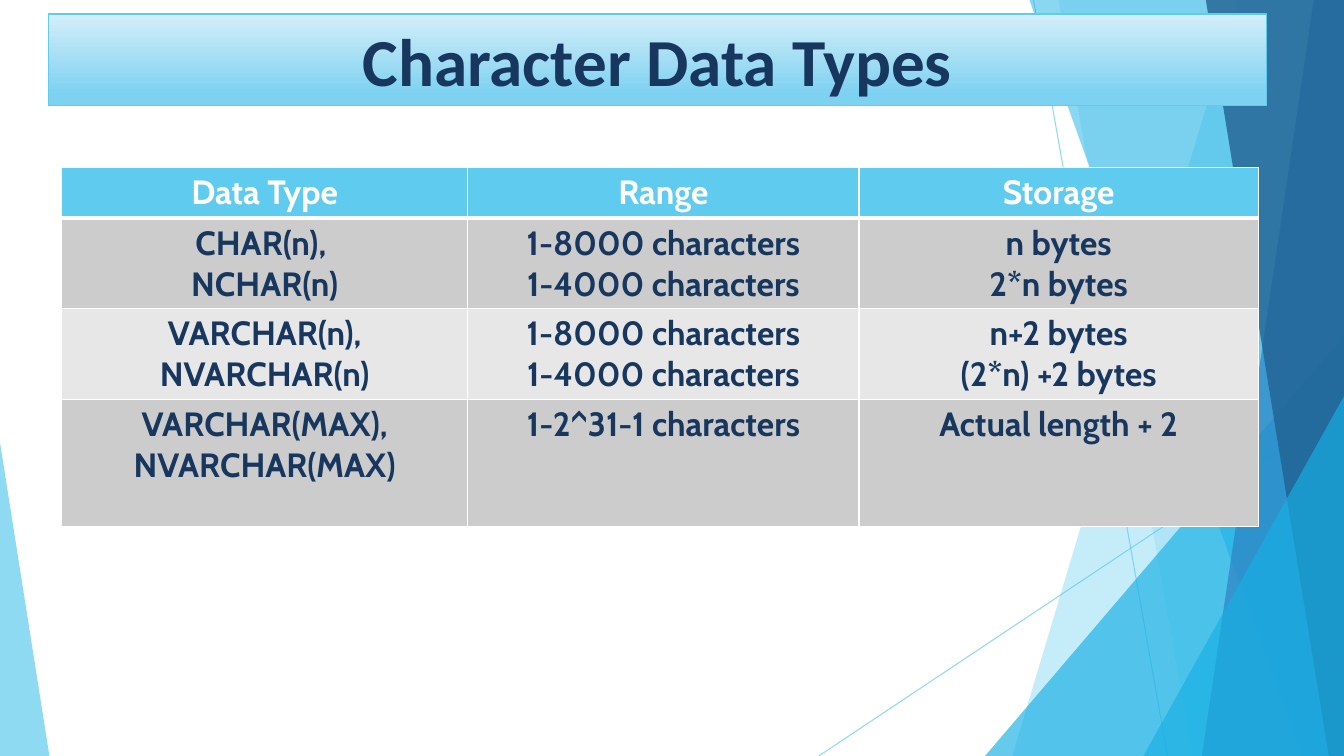
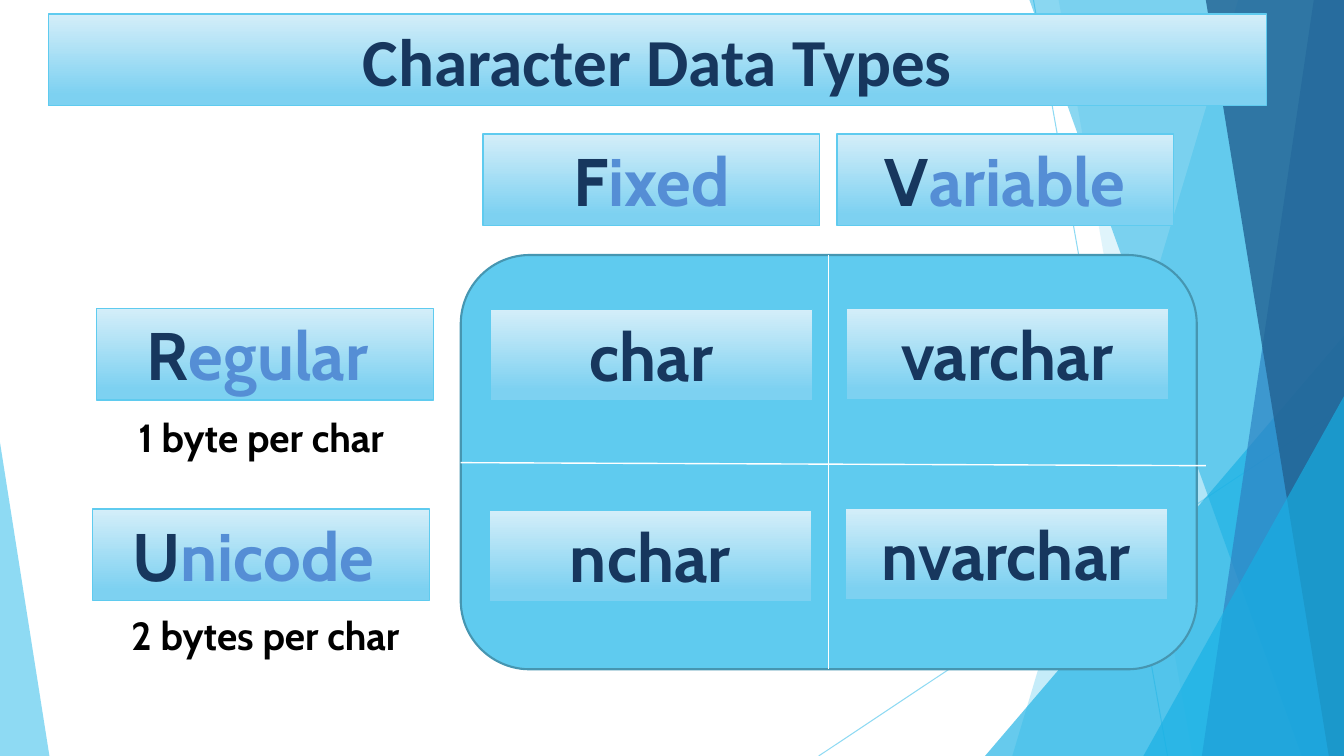
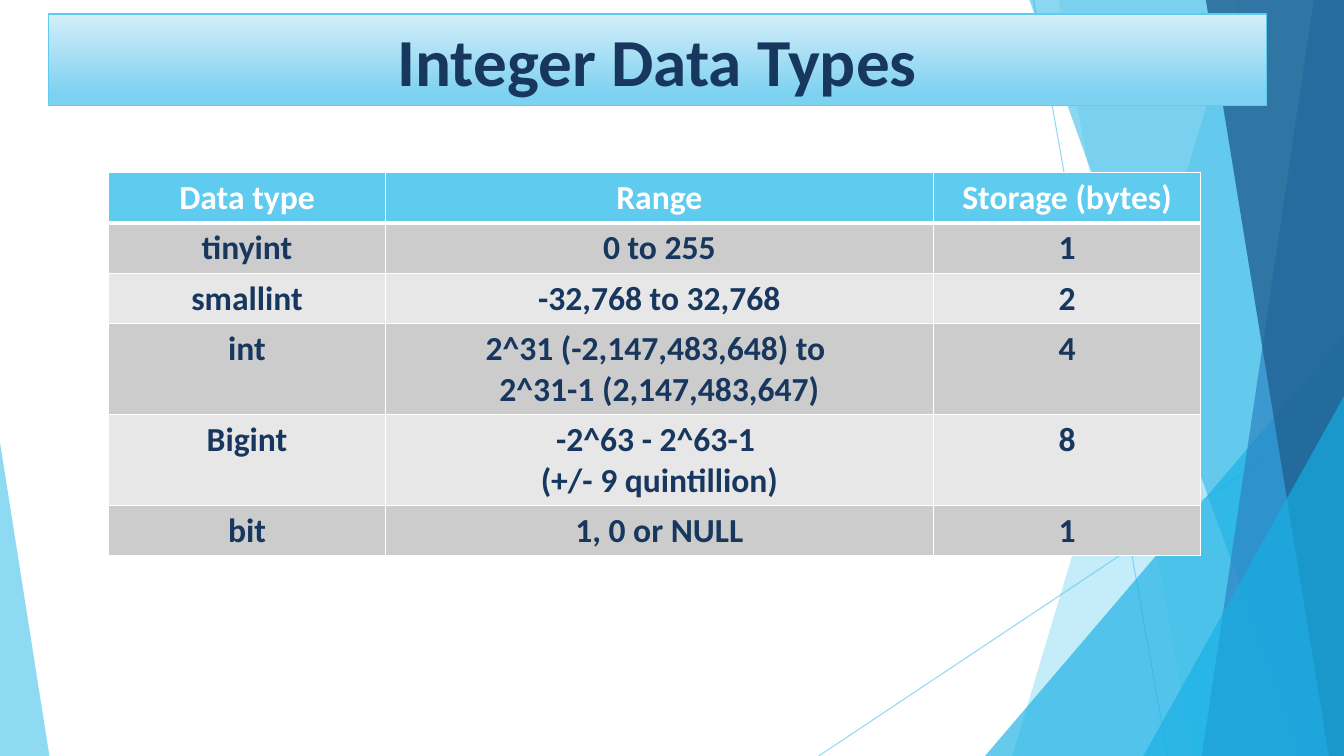
"""Builds three slides on SQL character and integer data types."""
import lxml.etree
import pptx
import pptx.dml.color
import pptx.enum.dml
import pptx.enum.shapes
import pptx.enum.text
import pptx.oxml.ns
import pptx.util

RGBColor = pptx.dml.color.RGBColor
SHAPES = pptx.enum.shapes.MSO_SHAPE
ANCHOR = pptx.enum.text.MSO_ANCHOR

PIXEL = 9144
SLIDE_WIDTH, SLIDE_HEIGHT = 1333, 750

SKY = RGBColor(0x5F, 0xCB, 0xEF)
CYAN = RGBColor(0x17, 0xB0, 0xE4)
BLUE = RGBColor(0x2E, 0x83, 0xC3)
DEEP_BLUE = RGBColor(0x22, 0x62, 0x92)
PANEL_EDGE = RGBColor(0x46, 0x96, 0xB1)
GRADIENT_TOP = RGBColor(0xD4, 0xEE, 0xF9)
GRADIENT_BOTTOM = RGBColor(0x7D, 0xD1, 0xF1)
NAVY = RGBColor(0x17, 0x37, 0x5E)
SOFT_BLUE = RGBColor(0x55, 0x8E, 0xD5)
WHITE = RGBColor(0xFF, 0xFF, 0xFF)
BLACK = RGBColor(0, 0, 0)
ROW_FILLS = (RGBColor(0xCC, 0xCC, 0xCC), RGBColor(0xE7, 0xE7, 0xE7))

CHARACTER_ROWS = [
    ["Data Type", "Range", "Storage"],
    ["CHAR(n), \nNCHAR(n)", ("1-8000 characters", "1-4000 characters"),
     ("n bytes", "2*n bytes")],
    ["VARCHAR(n), NVARCHAR(n)", ("1-8000 characters", "1-4000 characters"),
     ("n+2 bytes", "(2*n) +2 bytes")],
    ["VARCHAR(MAX),\nNVARCHAR(MAX)", "1-2^31-1 characters", "Actual length + 2"],
]
INTEGER_ROWS = [
    ["Data type", "Range", "Storage (bytes)"],
    ["tinyint", "0 to 255", "1"],
    ["smallint", "-32,768 to 32,768", "2"],
    ["int", "2^31 (-2,147,483,648) to \n2^31-1 (2,147,483,647)", "4"],
    ["Bigint", "-2^63 - 2^63-1 \n(+/- 9 quintillion)", "8"],
    ["bit", "1, 0 or NULL", "1"],
]


def px(*lengths):
    """Turn pixel lengths into a list of EMU lengths."""
    return [pptx.util.Emu(length * PIXEL) for length in lengths]


def set_alpha(shape, percent):
    """Make the first solid colour of a shape or connector translucent."""
    colour = next(shape._element.spPr.iter(pptx.oxml.ns.qn("a:srgbClr")))
    alpha = lxml.etree.SubElement(colour, pptx.oxml.ns.qn("a:alpha"))
    alpha.set("val", str(percent * 1000))


def add_run(paragraph, text, font_name, size, colour):
    """Append one bold run."""
    run = paragraph.add_run()
    run.text = text
    run.font.name = font_name
    run.font.size = pptx.util.Pt(size)
    run.font.bold = True
    run.font.color.rgb = colour


def write_centred(shape, runs, font_name, size, anchor=ANCHOR.TOP):
    """Write one centred paragraph of (text, colour) runs into a shape."""
    frame = shape.text_frame
    frame.word_wrap = True
    frame.auto_size = pptx.enum.text.MSO_AUTO_SIZE.SHAPE_TO_FIT_TEXT
    frame.vertical_anchor = anchor
    paragraph = frame.paragraphs[0]
    paragraph.alignment = pptx.enum.text.PP_ALIGN.CENTER
    for text, colour in runs:
        add_run(paragraph, text, font_name, size, colour)


def add_line(slide, start, end, colour, width):
    """Draw a straight line without a shadow."""
    straight = pptx.enum.shapes.MSO_CONNECTOR.STRAIGHT
    line = slide.shapes.add_connector(straight, *px(*start, *end))
    line.line.color.rgb = colour
    line.line.width = pptx.util.Pt(width)
    lxml.etree.SubElement(line._element.spPr, pptx.oxml.ns.qn("a:effectLst"))
    return line


def paint_facet(shape, colour, alpha):
    """Give a backdrop facet its translucent fill."""
    shape.shadow.inherit = False
    shape.fill.solid()
    shape.fill.fore_color.rgb = colour
    shape.line.fill.background()
    set_alpha(shape, alpha)


def add_facet_band(slide, top_x, bottom_x, colour, alpha):
    """Fill from a slanted edge to the right side of the slide."""
    builder = slide.shapes.build_freeform(top_x, 0, scale=PIXEL)
    builder.add_line_segments([(SLIDE_WIDTH, 0), (SLIDE_WIDTH, SLIDE_HEIGHT),
                               (bottom_x, SLIDE_HEIGHT)], close=True)
    paint_facet(builder.convert_to_shape(), colour, alpha)


def add_facet_triangle(slide, left, top, width, apex, colour, alpha):
    """Stand a right-angled triangle on the bottom edge of the slide."""
    box = px(left, top, width, SLIDE_HEIGHT - top)
    triangle = slide.shapes.add_shape(SHAPES.ISOSCELES_TRIANGLE, *box)
    triangle.adjustments[0] = apex
    paint_facet(triangle, colour, alpha)


def add_backdrop(slide):
    """Draw the faceted decoration shared by all slides."""
    for start, end in (((1025, 0), (1158, SLIDE_HEIGHT)),
                       ((SLIDE_WIDTH, 403), (812, SLIDE_HEIGHT))):
        set_alpha(add_line(slide, start, end, SKY, 0.75), 70)
    add_facet_band(slide, 1228, 1004, SKY, 36)
    add_facet_band(slide, 1050, 1183, SKY, 20)
    add_facet_triangle(slide, 977, 333, 356, 1, CYAN, 66)
    add_facet_band(slide, 1021, 1291, CYAN, 50)
    add_facet_band(slide, 1303, 1192, BLUE, 70)
    add_facet_band(slide, 1196, 1318, DEEP_BLUE, 80)
    add_facet_triangle(slide, 1134, 393, 199, 1, CYAN, 66)
    add_facet_triangle(slide, 0, 439, 49, 0, SKY, 70)


def add_gradient_box(slide, left, top, width, height=91):
    """Add a rectangle with the pale blue gradient and sky outline."""
    box = slide.shapes.add_shape(SHAPES.RECTANGLE, *px(left, top, width, height))
    box.shadow.inherit = False
    box.fill.gradient()
    box.fill.gradient_angle = 270
    stops = ((0, GRADIENT_TOP), (0.88, GRADIENT_BOTTOM))
    for stop, (position, colour) in zip(box.fill.gradient_stops, stops):
        stop.position = position
        stop.color.rgb = colour
    box.line.color.rgb = SKY
    box.line.width = pptx.util.Pt(1)
    return box


def add_titled_slide(presentation, title):
    """Add a blank slide with the backdrop and the title band."""
    slide = presentation.slides.add_slide(presentation.slide_layouts[6])
    add_backdrop(slide)
    band = add_gradient_box(slide, 48, 14, 1208)
    write_centred(band, [(title, NAVY)], "Calibri", 48, ANCHOR.MIDDLE)
    return slide


def set_cell_borders(cell, bottom_width):
    """Draw white borders round a table cell."""
    properties = cell._tc.get_or_add_tcPr()
    sides = (("a:lnL", 1), ("a:lnR", 1), ("a:lnT", 1), ("a:lnB", bottom_width))
    for index, (tag, width) in enumerate(sides):
        border = lxml.etree.Element(pptx.oxml.ns.qn(tag), w=str(pptx.util.Pt(width)))
        fill = lxml.etree.SubElement(border, pptx.oxml.ns.qn("a:solidFill"))
        colour = lxml.etree.SubElement(fill, pptx.oxml.ns.qn("a:srgbClr"))
        colour.set("val", str(WHITE))
        properties.insert(index, border)


def write_cell(cell, content, font_name, colour):
    """Write a string, or a tuple of paragraphs, with its line breaks."""
    paragraphs = content if isinstance(content, tuple) else (content,)
    frame = cell.text_frame
    for number, text in enumerate(paragraphs):
        paragraph = frame.add_paragraph() if number else frame.paragraphs[0]
        paragraph.alignment = pptx.enum.text.PP_ALIGN.CENTER
        for line_number, line in enumerate(text.split("\n")):
            if line_number:
                paragraph.add_line_break()
            add_run(paragraph, line, font_name, 24, colour)


def add_type_table(slide, left, top, widths, heights, rows, font_name):
    """Add a table with a sky header and grey banded rows."""
    box = px(left, top, sum(widths), sum(heights))
    table = slide.shapes.add_table(len(rows), len(widths), *box).table
    table.horz_banding = False
    for column, width in zip(table.columns, px(*widths)):
        column.width = width
    for row, height in zip(table.rows, px(*heights)):
        row.height = height
    for row_number, contents in enumerate(rows):
        is_header = row_number == 0
        for column_number, content in enumerate(contents):
            cell = table.cell(row_number, column_number)
            cell.fill.solid()
            cell.fill.fore_color.rgb = SKY if is_header else ROW_FILLS[(row_number - 1) % 2]
            set_cell_borders(cell, 3 if is_header else 1)
            write_cell(cell, content, font_name, WHITE if is_header else NAVY)


def add_initial_label(slide, left, top, word):
    """Add a heading box whose first letter stands out."""
    label = add_gradient_box(slide, left, top, 334)
    write_centred(label, [(word[0], NAVY), (word[1:], SOFT_BLUE)], "Cabin", 48)


def add_caption(slide, left, top, text):
    """Add the size note under a row label."""
    caption = slide.shapes.add_textbox(*px(left, top, 418, 57))
    write_centred(caption, [(text, BLACK)], "Cabin", 28)


def add_quadrants(slide, left, top, width, height):
    """Add the rounded panel, its four type names and the dividing lines."""
    box = px(left, top, width, height)
    panel = slide.shapes.add_shape(SHAPES.ROUNDED_RECTANGLE, *box)
    panel.shadow.inherit = False
    panel.fill.solid()
    panel.fill.fore_color.rgb = SKY
    panel.line.color.rgb = PANEL_EDGE
    panel.line.width = pptx.util.Pt(1.5)
    names = ((29, 54, "char"), (28, 253, "nchar"),
             (382, 53, "varchar"), (381, 251, "nvarchar"))
    for across, down, name in names:
        name_box = add_gradient_box(slide, left + across, top + down, 320)
        write_centred(name_box, [(name, NAVY)], "Cabin", 48)
    middle = left + width // 2
    add_line(slide, (middle, top), (middle, top + height), WHITE, 1)
    add_line(slide, (left, top + 206), (left + width + 9, top + 209), WHITE, 1)


def main():
    """Build and save the presentation."""
    presentation = pptx.Presentation()
    presentation.slide_width, presentation.slide_height = px(SLIDE_WIDTH, SLIDE_HEIGHT)

    slide = add_titled_slide(presentation, "Character Data Types")
    add_type_table(slide, 61, 166, (403, 388, 396), (50, 88, 88, 126),
                   CHARACTER_ROWS, "Cabin")

    slide = add_titled_slide(presentation, "Character Data Types")
    add_quadrants(slide, 457, 253, 730, 411)
    for left, top, word in ((479, 133, "Fixed"), (830, 133, "Variable"),
                            (96, 306, "Regular "), (92, 505, "Unicode ")):
        add_initial_label(slide, left, top, word)
    add_caption(slide, 50, 405, "1 byte per char")
    add_caption(slide, 54, 602, "2 bytes per char")

    slide = add_titled_slide(presentation, "Integer Data Types")
    add_type_table(slide, 108, 171, (274, 544, 265), (48, 48, 48, 84, 84, 46),
                   INTEGER_ROWS, "Calibri")

    presentation.save("out.pptx")


if __name__ == "__main__":
    main()
